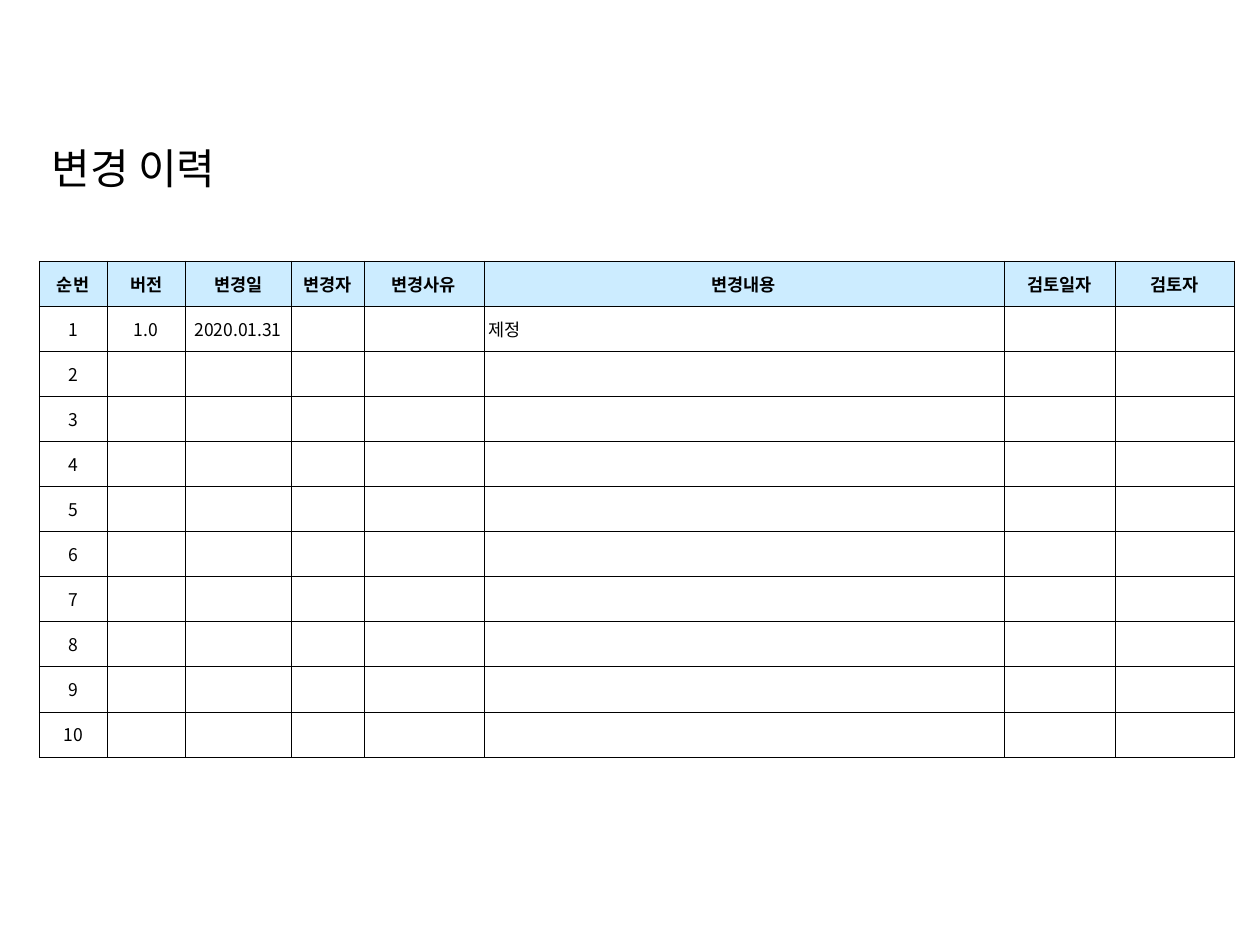
"""Build the change history slide: a title above a revision table."""
from dataclasses import dataclass

from lxml import etree
from pptx import Presentation
from pptx.dml.color import RGBColor
from pptx.enum.text import MSO_ANCHOR, PP_ALIGN
from pptx.oxml.ns import qn
from pptx.util import Inches, Pt

MIDDLE = MSO_ANCHOR.MIDDLE
CENTER, LEFT = PP_ALIGN.CENTER, PP_ALIGN.LEFT


@dataclass(frozen=True)
class Theme:
    font: str = "Noto Sans CJK KR"
    ink: str = "000000"
    header: str = "CCECFF"
    paper: str = "FFFFFF"
    title_size: float = 24
    cell_size: float = 10
    border: float = 0.25


theme = Theme()


def add_run(p, text, size, bold=False):
    r = p.add_run()
    r.text = text
    r.font.name = theme.font
    r.font.size = Pt(size)
    r.font.bold = bold
    r.font.color.rgb = RGBColor.from_string(theme.ink)
    ea = etree.SubElement(r.font._element, qn("a:ea"))
    ea.set("typeface", theme.font)


def add_borders(cell):
    tc_pr = cell._tc.get_or_add_tcPr()
    for side in ("a:lnL", "a:lnR", "a:lnT", "a:lnB"):
        ln = etree.SubElement(tc_pr, qn(side), w=str(int(Pt(theme.border))))
        fill = etree.SubElement(ln, qn("a:solidFill"))
        etree.SubElement(fill, qn("a:srgbClr"), val=theme.ink)


prs = Presentation()
prs.slide_width, prs.slide_height = Inches(10), Inches(7.5)
s = prs.slides.add_slide(prs.slide_layouts[6])

title = s.shapes.add_textbox(Inches(0.31), Inches(1.08), Inches(7.08), Inches(0.54))
tf = title.text_frame
tf.word_wrap = True
add_run(tf.paragraphs[0], "변경 이력", theme.title_size)

headers = ["순번", "버전", "변경일", "변경자", "변경사유", "변경내용", "검토일자", "검토자"]
widths = [0.54, 0.62, 0.84, 0.58, 0.95, 4.13, 0.88, 0.95]
content_col = headers.index("변경내용")
entries = [[str(n)] + [""] * (len(headers) - 1) for n in range(1, 11)]
entries[0] = ["1", "1.0", "2020.01.31", "", "", "제정", "", ""]
rows = [headers] + entries

frame = s.shapes.add_table(
    len(rows), len(headers), Inches(0.31), Inches(2.07), Inches(sum(widths)), Inches(3.94)
)
table = frame.table
table.first_row = table.horz_banding = False
for column, width in zip(table.columns, widths):
    column.width = Inches(width)

for i, row in enumerate(rows):
    is_header = i == 0
    for j, text in enumerate(row):
        cell = table.cell(i, j)
        cell.margin_left = cell.margin_right = Inches(0.04)
        cell.margin_top = cell.margin_bottom = Inches(0.08)
        cell.vertical_anchor = MIDDLE
        add_borders(cell)
        cell.fill.solid()
        cell.fill.fore_color.rgb = RGBColor.from_string(theme.header if is_header else theme.paper)
        p = cell.text_frame.paragraphs[0]
        p.alignment = LEFT if j == content_col and not is_header else CENTER
        if text:
            add_run(p, text, theme.cell_size, is_header)
        else:
            etree.SubElement(p._p, qn("a:endParaRPr"), sz=str(int(theme.cell_size * 100)))

prs.save("out.pptx")
